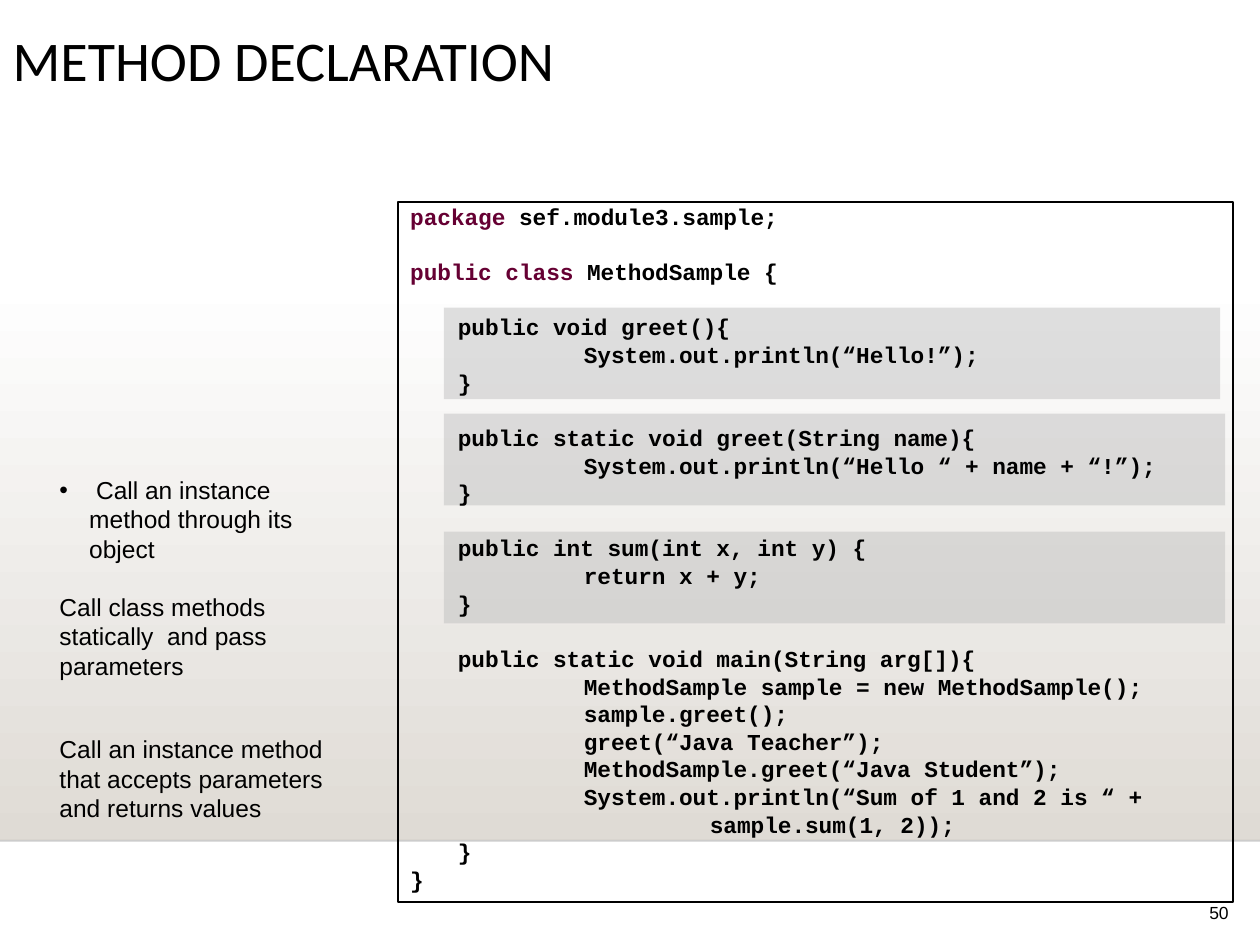
from lxml.etree import SubElement
from pptx import Presentation
from pptx.dml.color import RGBColor
from pptx.enum.shapes import MSO_CONNECTOR, MSO_SHAPE
from pptx.enum.text import MSO_ANCHOR, MSO_AUTO_SIZE, PP_ALIGN
from pptx.oxml.ns import qn
from pptx.util import Cm, Pt

BLACK = RGBColor(0x00, 0x00, 0x00)
WHITE = RGBColor(0xFF, 0xFF, 0xFF)
SAND = RGBColor(0xDF, 0xDB, 0xD5)
SILVER = RGBColor(0xC0, 0xC0, 0xC0)
RULE = RGBColor(0x00, 0x00, 0x01)
KEYWORD = RGBColor(0x66, 0x00, 0x33)

TITLE_FONT = {"name": "Calibri", "size": Pt(32), "bold": False}
CODE_FONT = {"name": "Courier New", "size": Pt(13), "bold": True}
NOTE_FONT = {"name": "Arial", "size": Pt(14)}
NUMBER_FONT = {"name": "Arial", "size": Pt(10)}
TOP_FRAME = {"word_wrap": True, "vertical_anchor": MSO_ANCHOR.TOP, "auto_size": MSO_AUTO_SIZE.NONE}
BOTTOM_FRAME = TOP_FRAME | {"vertical_anchor": MSO_ANCHOR.BOTTOM}
TITLE_PARAGRAPH = {"alignment": PP_ALIGN.LEFT, "line_spacing": 0.9}
CODE_PARAGRAPH = {"alignment": PP_ALIGN.LEFT, "line_spacing": 0.8, "space_before": Pt(3.3)}
NOTE_PARAGRAPH = {"alignment": PP_ALIGN.LEFT, "line_spacing": 1.0}
NUMBER_PARAGRAPH = {"alignment": PP_ALIGN.RIGHT, "line_spacing": 0.8}

CODE_LINES = [
    [("package ", KEYWORD), ("sef.module3.sample;", BLACK)],
    "",
    [("public class", KEYWORD), (" MethodSample {", BLACK)],
    "",
    "\tpublic void greet(){",
    "\t\tSystem.out.println(“Hello!”);",
    "\t}",
    "",
    "\tpublic static void greet(String name){",
    "\t\tSystem.out.println(“Hello “ + name + “!”);",
    "\t}",
    "",
    "\tpublic int sum(int x, int y) {",
    "\t\treturn x + y;",
    "\t}",
    "",
    "\tpublic static void main(String arg[]){",
    "\t\tMethodSample sample = new MethodSample();",
    "\t\tsample.greet();",
    "\t\tgreet(“Java Teacher”);",
    "\t\tMethodSample.greet(“Java Student”);",
    "\t\tSystem.out.println(“Sum of 1 and 2 is “ +",
    "\t\t\tsample.sum(1, 2));",
    "\t}",
    "}",
]
HIGHLIGHTS = [(6.2, 15.65), (8.34, 15.75), (10.72, 15.75)]
NOTES = [
    (9.45, 1.55, " Call an instance method through its object", True),
    (11.81, 2.36, "Call class methods statically  and pass parameters", False),
    (14.68, 2.24, "Call an instance method that accepts parameters and returns values", False),
]


def apply_format(target, values):
    for name, value in values.items():
        setattr(target, name, value)


def add_text(paragraph, text, font, color, paragraph_format):
    apply_format(paragraph, paragraph_format)
    run = paragraph.add_run()
    run.text = text
    apply_format(run.font, font)
    run.font.color.rgb = color


presentation = Presentation()
presentation.slide_width = Cm(25.4)
presentation.slide_height = Cm(19.05)
slide = presentation.slides.add_slide(presentation.slide_layouts[5])
shapes = slide.shapes

title = shapes.title
apply_format(title, {"left": Cm(0), "top": Cm(0.55), "width": Cm(22.66), "height": Cm(2.54)})
apply_format(title.text_frame, TOP_FRAME)
add_text(title.text_frame.paragraphs[0], "METHOD DECLARATION", TITLE_FONT, BLACK, TITLE_PARAGRAPH)

band = shapes.add_shape(MSO_SHAPE.RECTANGLE, Cm(0), Cm(5.59), Cm(25.4), Cm(11.34))
band.shadow.inherit = False
band.line.fill.background()
band.fill.gradient()
band.fill.gradient_angle = 270
for stop, color in zip(band.fill.gradient_stops, (WHITE, SAND)):
    stop.color.rgb = color

band_edge = shapes.add_connector(MSO_CONNECTOR.STRAIGHT, Cm(0), Cm(16.95), Cm(25.4), Cm(16.95))
band_edge.line.width = Pt(1)
band_edge.line.color.rgb = RULE
edge_properties = band_edge.element.spPr
SubElement(next(edge_properties.iter(qn("a:srgbClr"))), qn("a:alpha"), val="20000")
SubElement(edge_properties, qn("a:effectLst"))

number_box = shapes.add_textbox(Cm(20.32), Cm(17.99), Cm(4.7), Cm(0.74))
apply_format(number_box.text_frame, BOTTOM_FRAME)
add_text(number_box.text_frame.paragraphs[0], "50", NUMBER_FONT, BLACK, NUMBER_PARAGRAPH)

for top, width in HIGHLIGHTS:
    highlight = shapes.add_shape(MSO_SHAPE.RECTANGLE, Cm(8.95), Cm(top), Cm(width), Cm(1.85))
    highlight.shadow.inherit = False
    highlight.line.fill.background()
    highlight.fill.solid()
    highlight.fill.fore_color.rgb = SILVER
    SubElement(next(highlight.element.spPr.iter(qn("a:srgbClr"))), qn("a:alpha"), val="50000")

code_box = shapes.add_shape(MSO_SHAPE.RECTANGLE, Cm(8.02), Cm(4.07), Cm(16.84), Cm(14.12))
code_box.shadow.inherit = False
code_box.fill.background()
code_box.line.color.rgb = BLACK
code_box.line.width = Pt(1)
code_frame = code_box.text_frame
apply_format(code_frame, TOP_FRAME)
for index, line in enumerate(CODE_LINES):
    paragraph = code_frame.add_paragraph() if index else code_frame.paragraphs[0]
    apply_format(paragraph, CODE_PARAGRAPH)
    properties = paragraph._p.get_or_add_pPr()
    properties.set("marL", str(Cm(0.96)))
    properties.set("indent", str(-Cm(0.96)))
    properties.set("defTabSz", str(Cm(2.54)))
    if not line:
        paragraph_end = SubElement(paragraph._p, qn("a:endParaRPr"), sz="1300", b="1")
        SubElement(paragraph_end, qn("a:latin"), typeface=CODE_FONT["name"])
        continue
    for text, color in [(line, BLACK)] if isinstance(line, str) else line:
        add_text(paragraph, text, CODE_FONT, color, CODE_PARAGRAPH)

for top, height, text, bulleted in NOTES:
    note = shapes.add_shape(MSO_SHAPE.RECTANGLE, Cm(0.95), Cm(top), Cm(6.35), Cm(height))
    note.shadow.inherit = False
    note.fill.background()
    note.line.fill.background()
    apply_format(note.text_frame, TOP_FRAME)
    paragraph = note.text_frame.paragraphs[0]
    add_text(paragraph, text, NOTE_FONT, BLACK, NOTE_PARAGRAPH)
    if bulleted:
        properties = paragraph._p.get_or_add_pPr()
        properties.set("marL", str(Cm(0.6)))
        properties.set("indent", str(-Cm(0.6)))
        SubElement(properties, qn("a:buFont"), typeface="Arial")
        SubElement(properties, qn("a:buChar"), char="•")

presentation.save("out.pptx")
